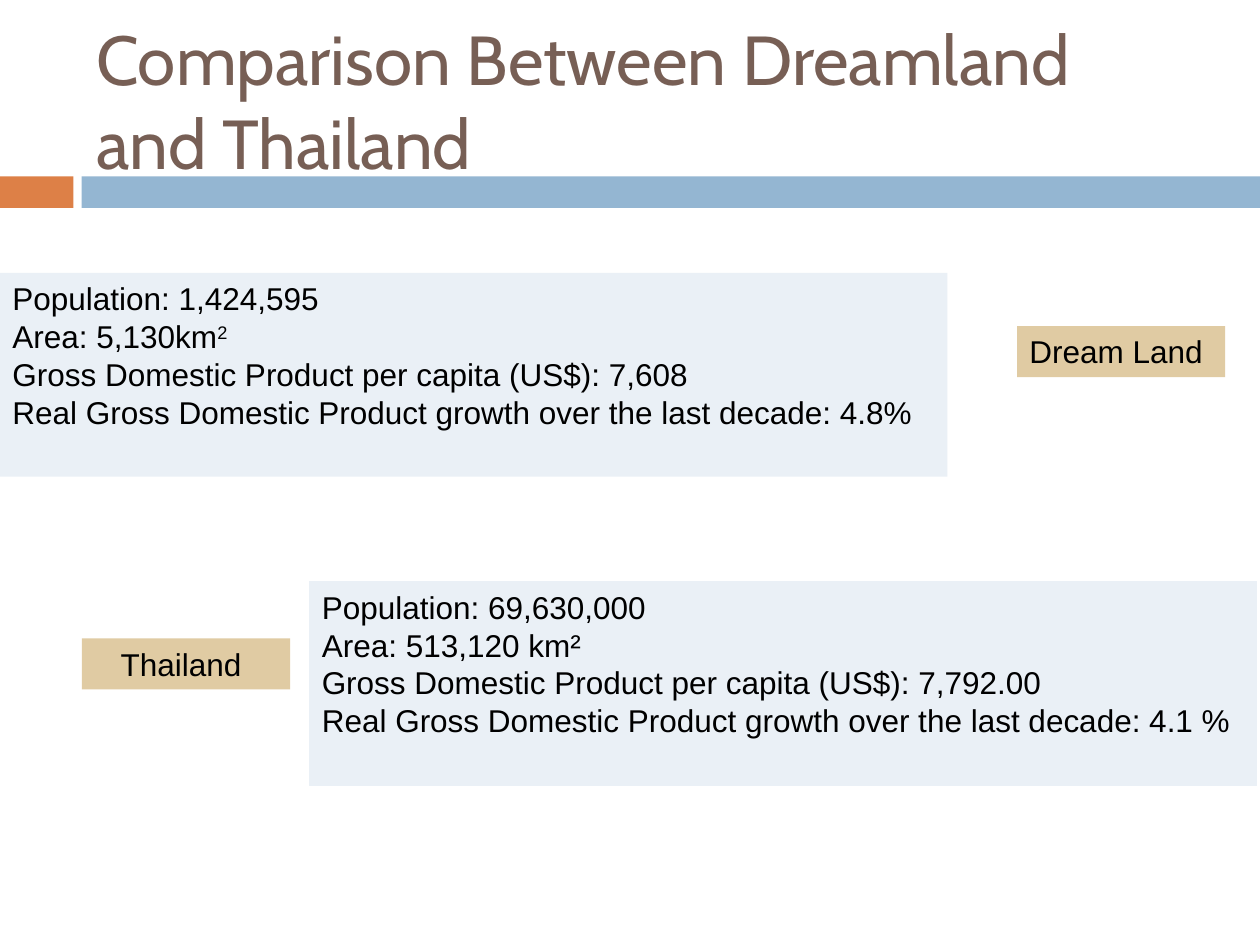
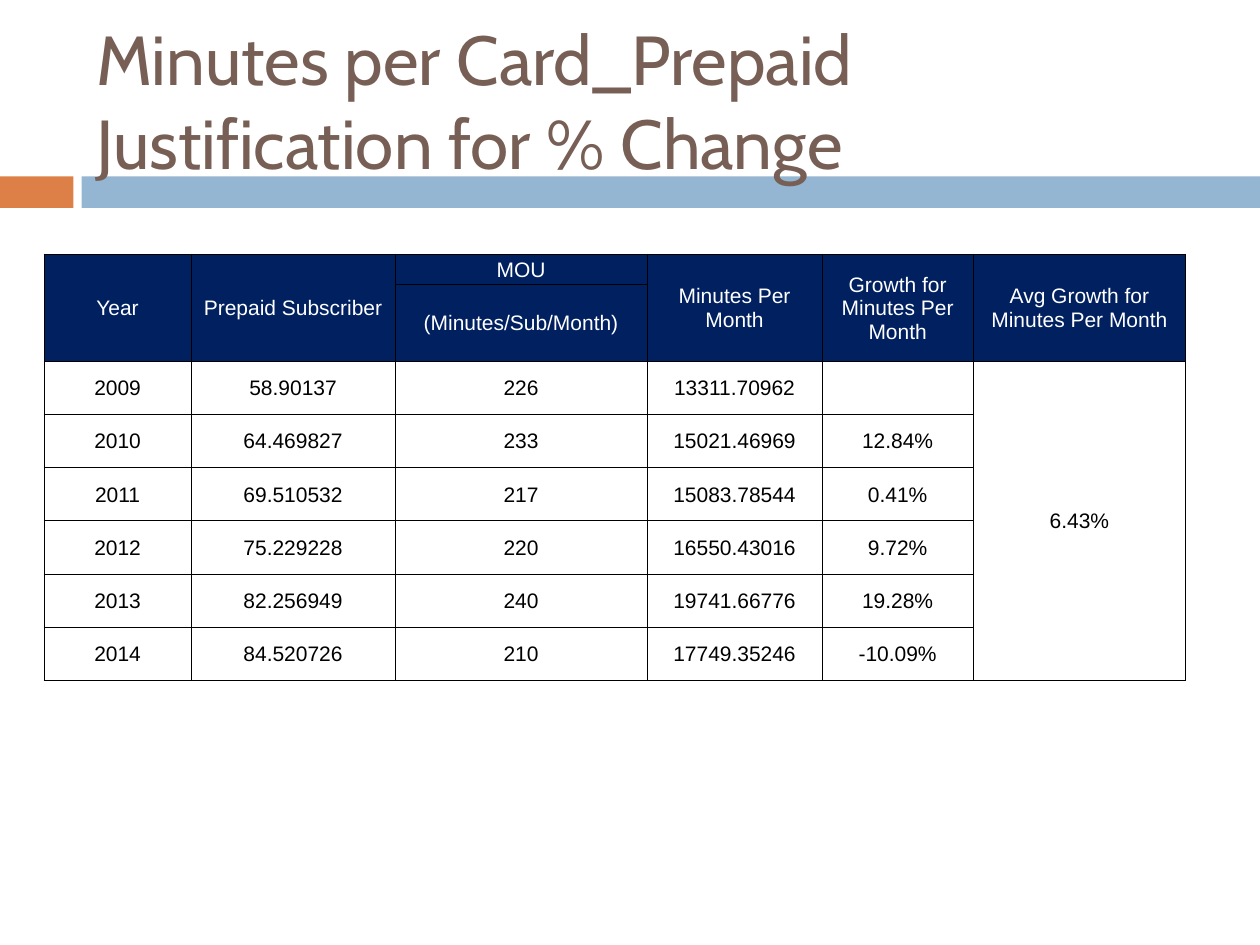
from dataclasses import dataclass

import lxml.etree
import pptx
import pptx.dml.color
import pptx.enum.shapes
import pptx.enum.text
import pptx.oxml.ns
import pptx.presentation
import pptx.slide
import pptx.table
import pptx.text.text
import pptx.util

Pt = pptx.util.Pt
RGBColor = pptx.dml.color.RGBColor
Anchor = pptx.enum.text.MSO_ANCHOR

WHITE = RGBColor(0xFF, 0xFF, 0xFF)
BLACK = RGBColor(0x00, 0x00, 0x00)
BROWN = RGBColor(0x77, 0x5F, 0x55)
ORANGE = RGBColor(0xDD, 0x80, 0x47)
BLUE = RGBColor(0x94, 0xB6, 0xD2)
PALE = RGBColor(0xEA, 0xF0, 0xF6)
SAND = RGBColor(0xE0, 0xCB, 0xA3)
NAVY = RGBColor(0x00, 0x20, 0x60)

HEAD = "Cabin"
BODY = "Arial"
WIDE, HIGH = 720, 540
POWER = "^"


@dataclass
class Box:
    left: float
    top: float
    width: float
    height: float
    fill: RGBColor
    paras: tuple[tuple[str, ...], ...] = ()
    inset: float = 7.2
    edge: bool = False


BANDS = (
    Box(0, 100.8, 42, 18, ORANGE),
    Box(46.6, 100.8, WIDE - 46.6, 18, BLUE),
)

CARDS = (
    Box(0, 156, 541.4, 116.4, PALE, (
        ("Population: 1,424,595",
         "Area: 5,130km^2",
         "Gross Domestic Product per capita (US$): 7,608"),
        ("Real Gross Domestic Product growth over the last decade: 4.8%",),
    )),
    Box(176.8, 332.4, 541.4, 116.4, PALE, (
        ("Population: 69,630,000",
         "Area: 513,120 km²",
         "Gross Domestic Product per capita (US$): 7,792.00"),
        ("Real Gross Domestic Product growth over the last decade: 4.1 %",),
    ), edge=True),
    Box(581.2, 186.4, 119, 29.1, SAND, (("Dream Land",),)),
    Box(46.8, 364.8, 119, 29.1, SAND, (("Thailand",),), inset=22.2),
)

COLS = (84, 116.6, 144, 100, 86.4, 121.4)
ROWS = (17.3, 26.8) + (30.4,) * 6
CELLS = (
    ("Year", "Prepaid Subscriber", "MOU", "Minutes Per Month",
     "Growth for Minutes Per Month", "Avg Growth for Minutes Per Month"),
    ("", "", "(Minutes/Sub/Month)", "", "", ""),
    ("2009", "58.90137", "226", "13311.70962", "", "6.43%"),
    ("2010", "64.469827", "233", "15021.46969", "12.84%", ""),
    ("2011", "69.510532", "217", "15083.78544", "0.41%", ""),
    ("2012", "75.229228", "220", "16550.43016", "9.72%", ""),
    ("2013", "82.256949", "240", "19741.66776", "19.28%", ""),
    ("2014", "84.520726", "210", "17749.35246", "-10.09%", ""),
)
HEADS = 2
MOU = 2


def style(font: pptx.text.text.Font, name: str, size: float, color: RGBColor) -> None:
    font.name = name
    font.size = Pt(size)
    font.color.rgb = color


def write(para, lines: tuple[str, ...]) -> None:
    for spot, line in enumerate(lines):
        if spot:
            para.add_line_break()
        base, _, power = line.partition(POWER)
        para.add_run().text = base
        if power:
            run = para.add_run()
            run.text = power
            run.font._element.set("baseline", "30000")
    for run in para.runs:
        style(run.font, BODY, 18, BLACK)


def draw(slide: pptx.slide.Slide, box: Box) -> None:
    shape = slide.shapes.add_shape(
        pptx.enum.shapes.MSO_SHAPE.RECTANGLE,
        Pt(box.left), Pt(box.top), Pt(box.width), Pt(box.height))
    shape.shadow.inherit = False
    shape.fill.solid()
    shape.fill.fore_color.rgb = box.fill
    if box.edge:
        shape.line.color.rgb = box.fill
        shape.line.width = Pt(0.75)
    else:
        shape.line.fill.background()
    frame = shape.text_frame
    frame.word_wrap = True
    frame.vertical_anchor = Anchor.TOP
    frame.margin_left = Pt(box.inset)
    for spot, lines in enumerate(box.paras):
        para = frame.add_paragraph() if spot else frame.paragraphs[0]
        para.alignment = pptx.enum.text.PP_ALIGN.LEFT
        write(para, lines)


def start(deck: pptx.presentation.Presentation, title: str) -> pptx.slide.Slide:
    slide = deck.slides.add_slide(deck.slide_layouts[6])
    for band in BANDS:
        draw(slide, band)
    frame = slide.shapes.add_textbox(Pt(48), Pt(18), Pt(642), Pt(78)).text_frame
    frame.word_wrap = True
    frame.vertical_anchor = Anchor.MIDDLE
    frame.text = title
    for run in frame.paragraphs[0].runs:
        style(run.font, HEAD, 39.6, BROWN)
    return slide


def border(cell: pptx.table._Cell) -> None:
    props = cell._tc.get_or_add_tcPr()
    name = pptx.oxml.ns.qn
    for side in ("lnL", "lnR", "lnT", "lnB"):
        line = lxml.etree.SubElement(props, name(f"a:{side}"), w=str(Pt(0.5)))
        fill = lxml.etree.SubElement(line, name("a:solidFill"))
        lxml.etree.SubElement(fill, name("a:srgbClr"), val=str(BLACK))


def fit(cell: pptx.table._Cell, text: str, head: bool) -> None:
    border(cell)
    if head:
        cell.fill.solid()
        cell.fill.fore_color.rgb = NAVY
    else:
        cell.fill.background()
    cell.margin_left = cell.margin_right = cell.margin_top = Pt(0.72)
    cell.margin_bottom = Pt(0)
    cell.vertical_anchor = Anchor.MIDDLE
    cell.text = text
    para = cell.text_frame.paragraphs[0]
    para.alignment = pptx.enum.text.PP_ALIGN.CENTER
    color = WHITE if head else BLACK
    style(para.font, BODY, 12, color)
    for run in para.runs:
        style(run.font, BODY, 12, color)


def tabulate(slide: pptx.slide.Slide) -> None:
    table = slide.shapes.add_table(
        len(ROWS), len(COLS), Pt(25.2), Pt(145.2), Pt(sum(COLS)), Pt(sum(ROWS))).table
    table.first_row = table.horz_banding = False
    for col, width in zip(table.columns, COLS):
        col.width = Pt(width)
    for row, height in zip(table.rows, ROWS):
        row.height = Pt(height)
    for r, texts in enumerate(CELLS):
        for c, text in enumerate(texts):
            fit(table.cell(r, c), text, r < HEADS)
    for c in range(len(COLS)):
        if c != MOU:
            table.cell(0, c).merge(table.cell(HEADS - 1, c))
    last = len(COLS) - 1
    table.cell(HEADS, last).merge(table.cell(len(ROWS) - 1, last))


def main() -> None:
    deck = pptx.Presentation()
    deck.slide_width, deck.slide_height = Pt(WIDE), Pt(HIGH)
    slide = start(deck, "Comparison Between Dreamland and Thailand")
    for card in CARDS:
        draw(slide, card)
    tabulate(start(deck, "Minutes per Card_Prepaid\vJustification for % Change"))
    deck.save("out.pptx")


if __name__ == "__main__":
    main()
